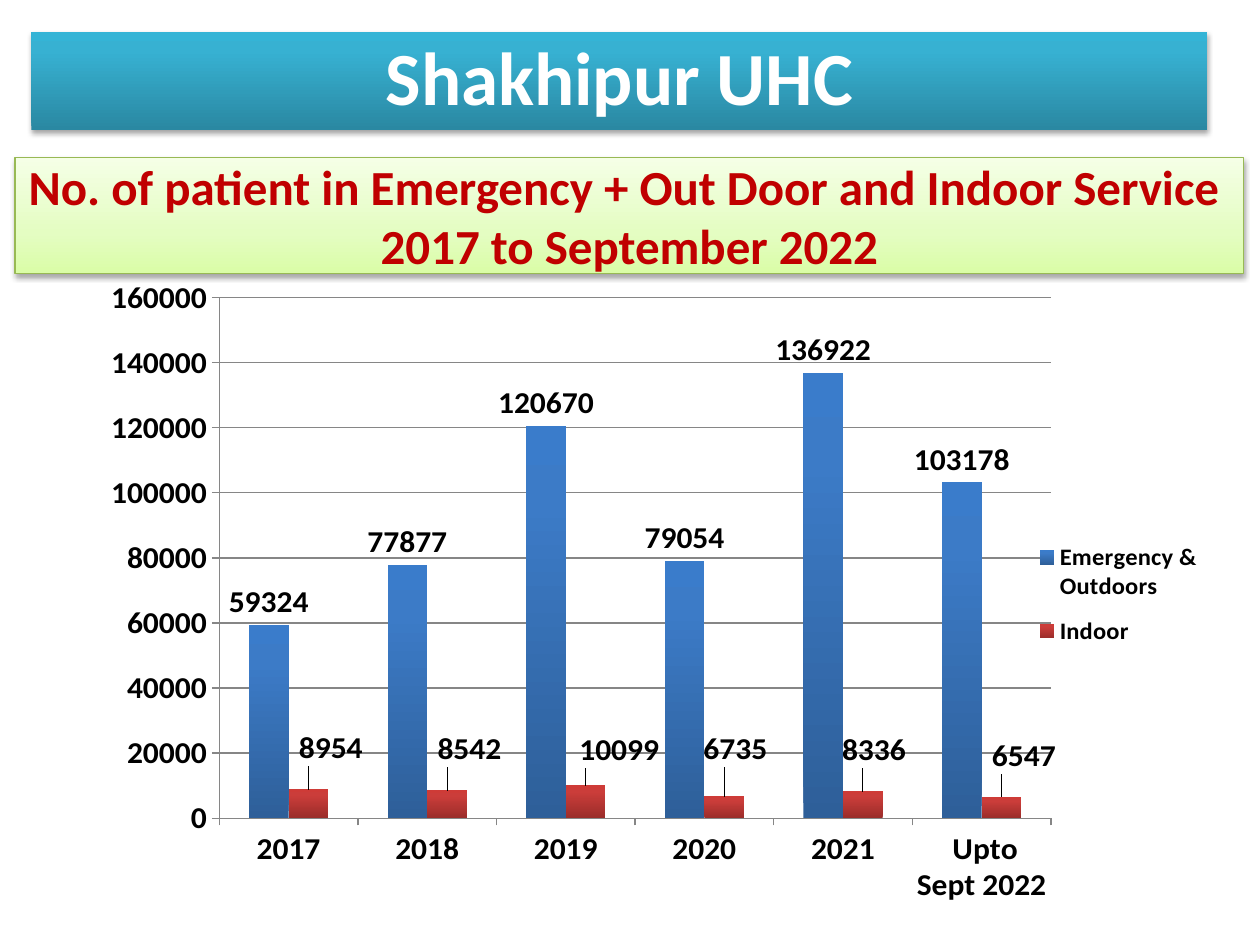
from dataclasses import dataclass

from lxml import etree
from pptx import Presentation
from pptx import util as u
from pptx.chart.data import CategoryChartData
from pptx.dml.color import RGBColor
from pptx.enum import chart as ch, shapes, text
from pptx.oxml import parse_xml
from pptx.oxml.ns import nsdecls, qn

Stops = tuple[tuple[int, str], ...]


@dataclass(frozen=True)
class Theme:
    font: str = "Calibri"
    white: str = "FFFFFF"
    black: str = "000000"
    red: str = "C00000"
    rule: str = "868686"
    edge: str = "98B954"
    teal: Stops = ((0, "2A88A2"), (80, "37B1D2"), (100, "34B4D6"))
    lime: Stops = ((0, "DAFDA7"), (35, "E4FDC2"), (100, "F5FFE6"))
    blue: Stops = ((0, "2E5F99"), (80, "3C7BC7"), (100, "3A7CCB"))
    brick: Stops = ((0, "9B2D2A"), (80, "CB3D3A"), (100, "CE3B37"))
    head: float = 42.9
    title: float = 28
    body: float = 18
    key: float = 14


@dataclass(frozen=True)
class Banner:
    words: str
    box: tuple[float, float, float, float]
    stops: Stops
    color: str
    size: float
    space: float = 1.0
    edge: str | None = None


@dataclass(frozen=True)
class Service:
    name: str
    counts: tuple[int, ...]
    stops: Stops
    shifts: tuple[tuple[float, float], ...] = ()


T = Theme()
BANNERS = (
    Banner("No. of patient in Emergency + Out Door and Indoor Service \v"
           "2017 to September 2022",
           (0.12, 1.25, 9.75, 0.92), T.lime, T.red, T.title, edge=T.edge),
    Banner("Shakhipur UHC", (0.25, 0.25, 9.33, 0.78), T.teal, T.white,
           T.head, space=0.9),
)
YEARS = ("2017", "2018", "2019", "2020", "2021", " Upto Sept 2022")
SERVICES = (
    Service("Emergency & Outdoors",
            (59324, 77877, 120670, 79054, 136922, 103178), T.blue),
    Service("Indoor", (8954, 8542, 10099, 6735, 8336, 6547), T.brick,
            ((0.02, -0.03), (0.02, -0.03), (0.03, -0.02),
             (0.01, -0.04), (0.01, -0.03), (0.02, -0.03))),
)


def style(font, size: float, color: str) -> None:
    font.name, font.size, font.bold = T.font, u.Pt(size), True
    font.color.rgb = RGBColor.from_string(color)


def shade(fill, props, stops: Stops) -> None:
    """Fill from bottom to top with the given gradient stops."""
    fill.solid()
    marks = "".join(f'<a:gs pos="{pos * 1000}"><a:srgbClr val="{color}"/></a:gs>'
                    for pos, color in stops)
    grad = parse_xml(f'<a:gradFill {nsdecls("a")} rotWithShape="1"><a:gsLst>{marks}'
                     '</a:gsLst><a:lin ang="16200000" scaled="0"/></a:gradFill>')
    props.replace(props.find(qn("a:solidFill")), grad)


def drop(props) -> None:
    """Add a soft shadow straight below."""
    props.append(parse_xml(
        f'<a:effectLst {nsdecls("a")}><a:outerShdw blurRad="{u.Pt(3.1)}" '
        f'dist="{u.Pt(1.8)}" dir="5400000" rotWithShape="0">'
        f'<a:srgbClr val="{T.black}"><a:alpha val="35000"/></a:srgbClr>'
        '</a:outerShdw></a:effectLst>'))


def add_banner(slide, item: Banner) -> None:
    shape = slide.shapes.add_shape(shapes.MSO_SHAPE.RECTANGLE,
                                   *(u.Inches(n) for n in item.box))
    props = shape._element.spPr
    shade(shape.fill, props, item.stops)
    if item.edge:
        shape.line.color.rgb = RGBColor.from_string(item.edge)
        shape.line.width = u.Pt(0.75)
    else:
        shape.line.fill.background()
    drop(props)
    frame = shape.text_frame
    frame.word_wrap = True
    frame.vertical_anchor = text.MSO_ANCHOR.MIDDLE
    frame.text = item.words
    para = frame.paragraphs[0]
    para.alignment = text.PP_ALIGN.CENTER
    para.line_spacing = item.space
    for run in para.runs:
        style(run.font, item.size, item.color)


def place(parent, after: str, **marks) -> None:
    """Put a manual layout behind the named child of a chart part."""
    for old in parent.findall(qn("c:layout")):
        parent.remove(old)
    layout = etree.Element(qn("c:layout"))
    manual = etree.SubElement(layout, qn("c:manualLayout"))
    for name, value in marks.items():
        etree.SubElement(manual, qn(f"c:{name}")).set("val", str(value))
    if after:
        parent.find(qn(after)).addnext(layout)
    else:
        parent.insert(0, layout)


def add_series(series, item: Service) -> None:
    shade(series.format.fill, series._element.spPr, item.stops)
    series.invert_if_negative = False
    labels = series.data_labels
    labels.show_value = True
    labels.position = ch.XL_LABEL_POSITION.OUTSIDE_END
    style(labels.font, T.body, T.black)
    for point, _ in enumerate(item.shifts):
        label = series.points[point].data_label
        label.position = ch.XL_LABEL_POSITION.OUTSIDE_END
    nodes = series._element.iter(qn("c:dLbl"))
    for node, (x, y) in zip(list(nodes), item.shifts):
        place(node, "c:idx", x=x, y=y)


def add_graph(slide) -> None:
    data = CategoryChartData()
    data.categories = YEARS
    for item in SERVICES:
        data.add_series(item.name, item.counts)
    box = (u.Inches(n) for n in (0.67, 2.17, 8.92, 5))
    graph = slide.shapes.add_chart(ch.XL_CHART_TYPE.COLUMN_CLUSTERED,
                                   *box, data).chart
    graph.has_title = False
    style(graph.font, T.body, T.black)
    plot = graph.plots[0]
    plot.gap_width, plot.overlap, plot.vary_by_categories = 150, 0, False
    for series, item in zip(plot.series, SERVICES):
        add_series(series, item)
    for axis in (graph.category_axis, graph.value_axis):
        axis.major_tick_mark = ch.XL_TICK_MARK.OUTSIDE
        axis.minor_tick_mark = ch.XL_TICK_MARK.NONE
        axis.format.line.color.rgb = RGBColor.from_string(T.rule)
        style(axis.tick_labels.font, T.body, T.black)
    scale = graph.value_axis
    scale.minimum_scale, scale.maximum_scale, scale.major_unit = 0, 160000, 20000
    scale.has_major_gridlines = True
    scale.major_gridlines.format.line.color.rgb = RGBColor.from_string(T.rule)
    graph.has_legend = True
    key = graph.legend
    key.position = ch.XL_LEGEND_POSITION.RIGHT
    key.include_in_layout = False
    style(key.font, T.key, T.black)
    place(key._element, "c:legendPos", xMode="edge", yMode="edge",
          x=0.84, y=0.42, w=0.16, h=0.22)
    area = graph._chartSpace.find(".//" + qn("c:plotArea"))
    place(area, "", layoutTarget="inner", xMode="edge", yMode="edge",
          x=0.12, y=0.04, w=0.74, h=0.86)


def main() -> None:
    deck = Presentation()
    deck.slide_width, deck.slide_height = u.Inches(10), u.Inches(7.5)
    slide = deck.slides.add_slide(deck.slide_layouts[6])
    for item in BANNERS:
        add_banner(slide, item)
    add_graph(slide)
    deck.save("out.pptx")


if __name__ == "__main__":
    main()
